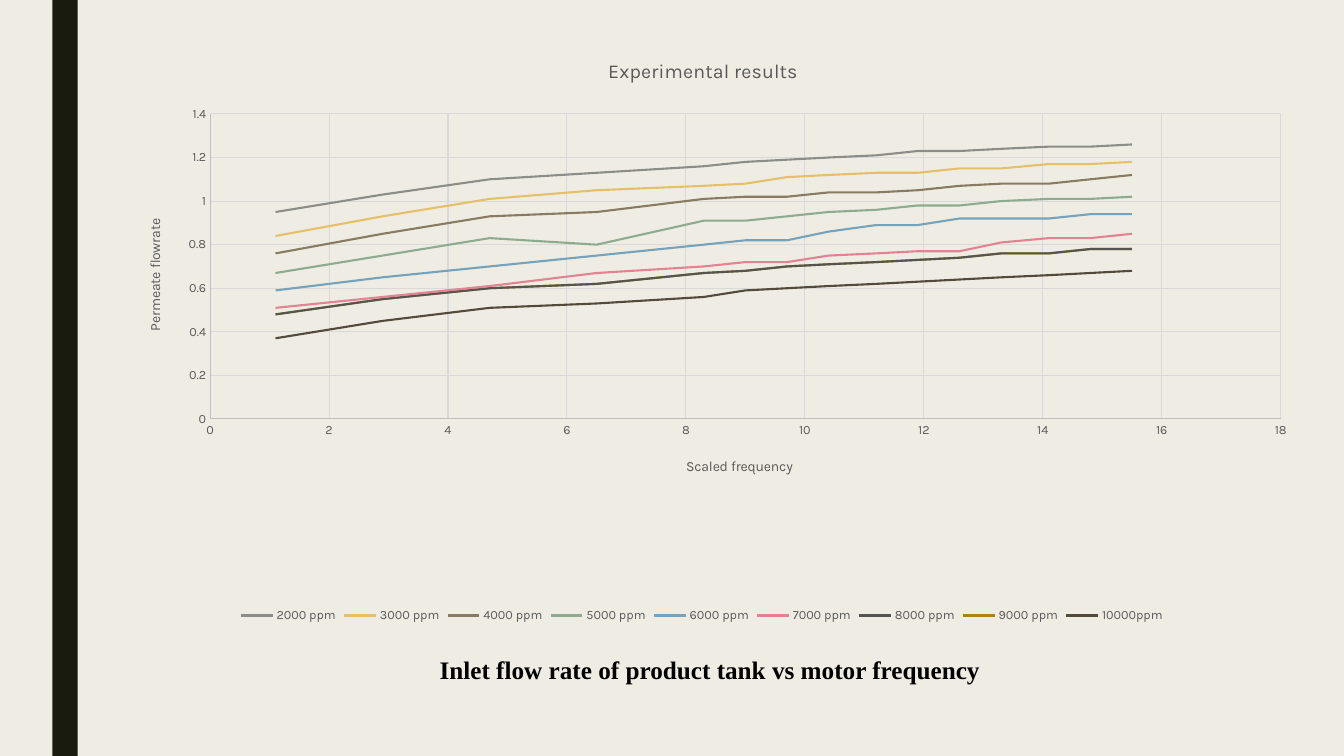
from pptx import Presentation
from pptx.chart.data import XyChartData
from pptx.dml.color import RGBColor
from pptx.enum.chart import XL_CHART_TYPE, XL_LEGEND_POSITION, XL_TICK_MARK
from pptx.enum.shapes import MSO_SHAPE
from pptx.enum.text import PP_ALIGN
from pptx.oxml import parse_xml
from pptx.oxml.ns import nsdecls
from pptx.util import Inches, Pt

FREQS = [1.1, 2.9, 4.7, 6.5, 8.3, 9, 9.7, 10.4, 11.2, 11.9, 12.6, 13.3, 14.1, 14.8, 15.5]
MID = [0.48, 0.55, 0.6, 0.62, 0.67, 0.68, 0.7, 0.71, 0.72, 0.73, 0.74, 0.76, 0.76, 0.78, 0.78]
FLOWS = [
    ("2000 ppm", "8C8D86", [0.95, 1.03, 1.1, 1.13, 1.16, 1.18, 1.19, 1.2, 1.21, 1.23, 1.23, 1.24, 1.25, 1.25, 1.26]),
    ("3000 ppm", "E6C069", [0.84, 0.93, 1.01, 1.05, 1.07, 1.08, 1.11, 1.12, 1.13, 1.13, 1.15, 1.15, 1.17, 1.17, 1.18]),
    ("4000 ppm", "897B61", [0.76, 0.85, 0.93, 0.95, 1.01, 1.02, 1.02, 1.04, 1.04, 1.05, 1.07, 1.08, 1.08, 1.1, 1.12]),
    ("5000 ppm", "8DAB8E", [0.67, 0.75, 0.83, 0.8, 0.91, 0.91, 0.93, 0.95, 0.96, 0.98, 0.98, 1, 1.01, 1.01, 1.02]),
    ("6000 ppm", "77A2BB", [0.59, 0.65, 0.7, 0.75, 0.8, 0.82, 0.82, 0.86, 0.89, 0.89, 0.92, 0.92, 0.92, 0.94, 0.94]),
    ("7000 ppm", "E28394", [0.51, 0.56, 0.61, 0.67, 0.7, 0.72, 0.72, 0.75, 0.76, 0.77, 0.77, 0.81, 0.83, 0.83, 0.85]),
    ("8000 ppm", "545550", MID),
    ("9000 ppm", "AC811D", MID),
    ("10000ppm", "524A3A", [0.37, 0.45, 0.51, 0.53, 0.56, 0.59, 0.6, 0.61, 0.62, 0.63, 0.64, 0.65, 0.66, 0.67, 0.68]),
]


def color(code):
    """Turn a hex string into a colour."""
    return RGBColor.from_string(code)


def layout(x, y, size=None):
    """Return a manual chart layout in fractions of the chart."""
    vals = [("xMode", "edge"), ("yMode", "edge"), ("x", x), ("y", y)]
    if size:
        vals = [("layoutTarget", "inner")] + vals + list(zip("wh", size))
    body = "".join(f'<c:{tag} val="{val}"/>' for tag, val in vals)
    return parse_xml(f'<c:layout {nsdecls("c")}><c:manualLayout>{body}</c:manualLayout></c:layout>')


class Deck:
    """Holds the style and the current slide."""

    ink, rule, grid = "595959", "BFBFBF", "D9D9D9"
    face, serif = "Karla", "Times New Roman"

    def __init__(self, show, back):
        """Add a blank slide with a plain background."""
        self.slide = show.slides.add_slide(show.slide_layouts[6])
        fill = self.slide.background.fill
        fill.solid()
        fill.fore_color.rgb = color(back)

    def font(self, font, size, code=ink, face=face, bold=False):
        """Set every trait of a font."""
        font.size, font.name, font.bold = Pt(size), face, bold
        font.color.rgb = color(code)

    def line(self, form, code, width):
        """Set the line of a chart part."""
        form.line.color.rgb = color(code)
        form.line.width = Pt(width)

    def bar(self, x, y, w, h, code):
        """Draw a filled rectangle."""
        box = self.slide.shapes.add_shape(MSO_SHAPE.RECTANGLE, Inches(x), Inches(y), Inches(w), Inches(h))
        box.shadow.inherit = False
        box.fill.solid()
        box.fill.fore_color.rgb = color(code)
        box.line.fill.background()

    def text(self, x, y, w, h, words, size):
        """Add a bold centred caption."""
        frame = self.slide.shapes.add_textbox(Inches(x), Inches(y), Inches(w), Inches(h)).text_frame
        frame.word_wrap = True
        para = frame.paragraphs[0]
        para.alignment = PP_ALIGN.CENTER
        run = para.add_run()
        run.text = words
        self.font(run.font, size, "000000", self.serif, True)

    def title(self, title, words, size, x, y, turn=0):
        """Fill and place a chart or axis title."""
        frame = title.text_frame
        run = frame.paragraphs[0].add_run()
        run.text = words
        self.font(run.font, size)
        body = title._element.find(".//{*}bodyPr")
        body.set("rot", str(turn * 60000))
        body.set("vert", "horz")
        for old in title._element.findall("{*}layout"):
            title._element.remove(old)
        title._element.find("{*}tx").addnext(layout(x, y))

    def axis(self, axis, top, step):
        """Style an axis that starts at zero."""
        axis.minimum_scale, axis.maximum_scale, axis.major_unit = 0, top, step
        axis.major_tick_mark = axis.minor_tick_mark = XL_TICK_MARK.NONE
        axis.has_major_gridlines = True
        self.line(axis.major_gridlines.format, self.grid, 0.75)
        self.line(axis.format, self.rule, 0.75)
        self.font(axis.tick_labels.font, 9)
        axis.tick_labels.number_format = "General"
        axis.tick_labels.number_format_is_linked = False

    def chart(self, x, y, w, h, rows, freqs):
        """Add a scatter chart with one line per row."""
        data = XyChartData()
        for name, _, vals in rows:
            line = data.add_series(name)
            for freq, val in zip(freqs, vals):
                line.add_data_point(freq, val)
        kind = XL_CHART_TYPE.XY_SCATTER_LINES_NO_MARKERS
        chart = self.slide.shapes.add_chart(kind, Inches(x), Inches(y), Inches(w), Inches(h), data).chart
        self.font(chart.font, 10, "000000")
        plot = chart.plots[0]
        plot.vary_by_categories = False
        for line, (_, code, _) in zip(plot.series, rows):
            line.smooth = False
            self.line(line.format, code, 1.5)
        area = chart._chartSpace.find(".//{*}plotArea")
        for old in area.findall("{*}layout"):
            area.remove(old)
        area.insert(0, layout(0.095, 0.139, (0.882, 0.512)))
        chart.has_legend = True
        chart.legend.position = XL_LEGEND_POSITION.BOTTOM
        chart.legend.include_in_layout = False
        self.font(chart.legend.font, 9)
        return chart


show = Presentation()
show.slide_width, show.slide_height = Inches(13.33), Inches(7.5)
deck = Deck(show, "EFEDE3")
deck.bar(0.52, 0, 0.25, 7.5, "191B0E")
chart = deck.chart(0.94, 0.31, 12.04, 5.91, FLOWS, FREQS)
deck.axis(chart.category_axis, 18, 2)
deck.axis(chart.value_axis, 1.4, 0.2)
chart.has_title = True
deck.title(chart.chart_title, "Experimental results", 14, 0.42, 0.04)
deck.title(chart.category_axis.axis_title, "Scaled frequency", 10, 0.485, 0.71)
deck.title(chart.value_axis.axis_title, "Permeate flowrate", 10, 0.04, 0.31, -90)
deck.text(4.23, 6.44, 5.62, 0.4, "Inlet flow rate of product tank vs motor frequency", 18)
show.save("out.pptx")
